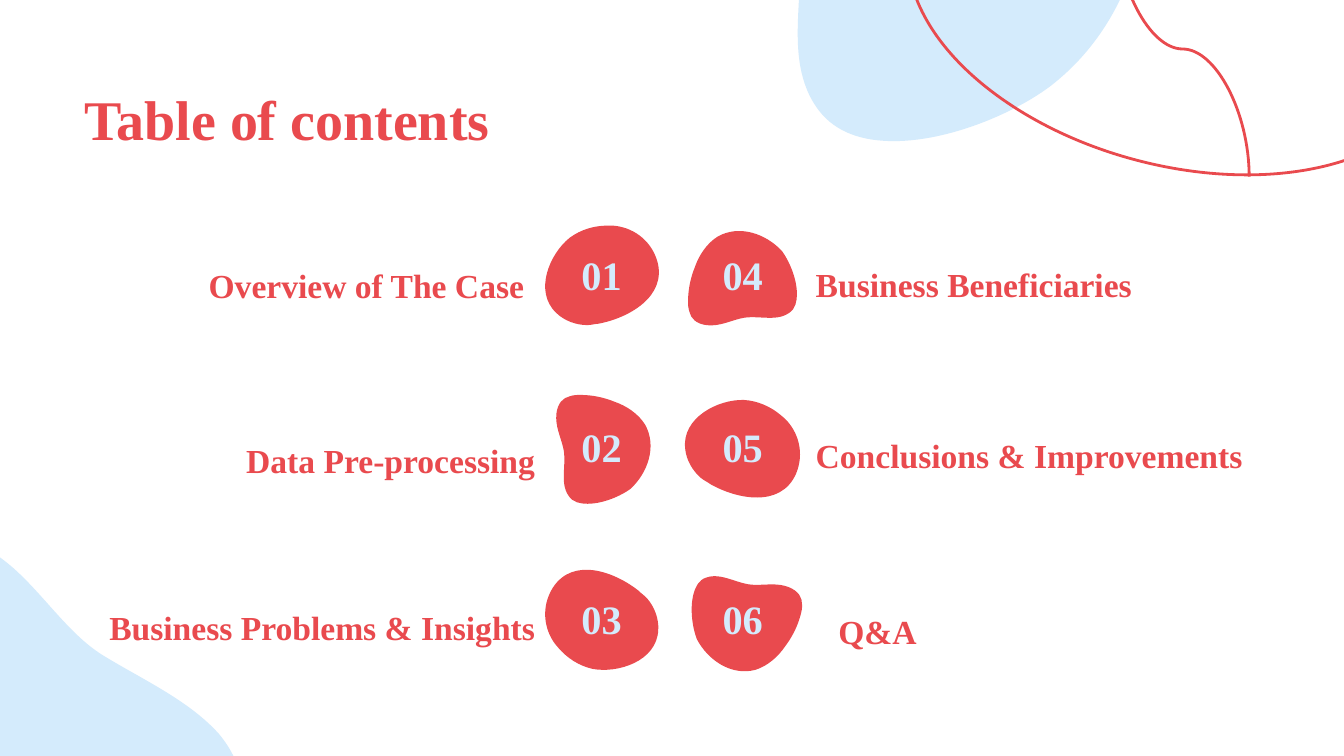
from lxml import etree
from pptx import Presentation
from pptx.dml.color import RGBColor
from pptx.enum import shapes, text
from pptx.oxml.ns import qn
from pptx.util import Pt

RED = RGBColor(0xE9, 0x4A, 0x4E)
SKY = RGBColor(0xD4, 0xEB, 0xFC)
FONT = "Times New Roman"
UNITS = 100  # outline units per point

# Each outline: width, height, start point, then Bezier segments, in points
CLOUD = (215.3, 232.6, (53.3, 0), [
    (45.4, 0, 37.4, 1.4, 31, 3.6), (15.1, 7.9, 3.6, 19.4, 1.4, 41.8),
    (0, 65.5, 9.4, 90.7, 15.1, 113.8), (23.8, 146.2, 5.8, 187.2, 27.4, 216),
    (36.7, 228.2, 51.1, 232.6, 67.7, 232.6), (100.1, 232.6, 139, 214.6, 156.2, 199.4),
    (193.7, 167.8, 215.3, 108.7, 187.9, 64.8), (173.5, 41.8, 149.8, 25.9, 124.6, 15.8),
    (104.4, 8.6, 77, 0, 53.3, 0)])
BEAN = (54.7, 59, (13.7, 0.7), [
    (11.5, 0.7, 10.1, 0.7, 7.9, 1.4), (4.3, 2.2, 1.4, 5, 0.7, 10.8),
    (0, 17.3, 2.9, 23, 4.3, 28.8), (6.5, 37.4, 2.2, 47.5, 7.2, 54.7),
    (9.4, 58.3, 13.7, 59, 17.3, 59), (25.9, 59, 35.3, 54.7, 40.3, 51.1),
    (49.7, 42.5, 54.7, 28.1, 48.2, 16.6), (44.6, 10.8, 38.2, 6.5, 31.7, 4.3),
    (26.6, 2.2, 20.2, 0.7, 13.7, 0.7)])
PEBBLE = (72, 53.3, (39.6, 0), [
    (32.4, 0, 25.2, 2.2, 19.4, 6.5), (8.6, 15.1, 0, 35.3, 12.2, 46.8),
    (16.6, 51.1, 23, 53.3, 28.8, 53.3), (31, 53.3, 33.1, 52.6, 34.6, 52.6),
    (50.4, 49.7, 72, 38.2, 66.2, 18.7), (62.6, 7.2, 52.6, 0.7, 42.5, 0),
    (41, 0, 40.3, 0, 39.6, 0)])

NUM_W, NUM_H = 49.7, 33.1
COLUMNS = (297.4, 373)
TOP, PITCH = 130.3, 92.15
# number, label, outline, rotation, blob shift (x, y), label gap, label drop, label width
ENTRIES = [
    [("01", "Overview of The Case", PEBBLE, 0, (-0.4, 0.7), 9.4, 1.4, 306.7),
     ("02", "Data Pre-processing", BEAN, 0, (2.5, 1.4), 3.6, 2.9, 343.4),
     ("03", "Business Problems & Insights", PEBBLE, 229.3, (-0.4, 1.4), 3.6, 0, 418.3)],
    [("04", "Business Beneficiaries", BEAN, 270, (-0.4, 0.7), 7.2, 0.7, 295.9),
     ("05", "Conclusions & Improvements", PEBBLE, 40.2, (0.4, 1.4), 7.2, 0, 298.8),
     ("06", "Q&A", BEAN, 105, (-0.4, 4.3), 19.4, 2.2, 216)],
]


def add_blob(s, outline, cx, cy, rotation, color):
    """Place a closed Bezier outline with its box centred on (cx, cy)."""
    w, h, start, segments = outline
    fb = s.shapes.build_freeform(0, 0, scale=Pt(1) / UNITS)
    fb.add_line_segments([(w * UNITS, 0), (w * UNITS, h * UNITS), (0, h * UNITS)])
    sp = fb.convert_to_shape(Pt(cx - w / 2), Pt(cy - h / 2))
    outline_el = next(sp._element.iter(qn("a:path")))
    for child in list(outline_el):
        outline_el.remove(child)
    for tag, numbers in [("a:moveTo", start)] + [("a:cubicBezTo", c) for c in segments]:
        command = etree.SubElement(outline_el, qn(tag))
        for x, y in zip(numbers[::2], numbers[1::2]):
            etree.SubElement(command, qn("a:pt"), x=str(round(x * UNITS)), y=str(round(y * UNITS)))
    etree.SubElement(outline_el, qn("a:close"))
    sp.rotation = rotation
    sp.shadow.inherit = False
    sp.fill.solid()
    sp.fill.fore_color.rgb = color
    sp.line.fill.background()


def add_text(s, box, content, size, color, align=text.PP_ALIGN.LEFT,
             anchor=text.MSO_ANCHOR.TOP, spacing=None):
    tf = s.shapes.add_textbox(*map(Pt, box)).text_frame
    tf.word_wrap = True
    tf.vertical_anchor = anchor
    tf.margin_left = tf.margin_right = tf.margin_top = tf.margin_bottom = Pt(7.2)
    p = tf.paragraphs[0]
    p.text = content
    p.alignment = align
    p.line_spacing = spacing
    font = p.runs[0].font
    font.name, font.size, font.bold = FONT, Pt(size), True
    font.color.rgb = color


def add_corner_lines(s, x, y):
    """Draw the arc and the curve that meets it, from the arc's top left."""
    arc = s.shapes.add_shape(shapes.MSO_SHAPE.ARC, Pt(x), Pt(y), Pt(295.2), Pt(177.1))
    arc.adjustments[0], arc.adjustments[1] = 68.74, 0
    arc.rotation = 195
    arc.shadow.inherit = False
    arc.fill.background()
    curve = s.shapes.add_connector(shapes.MSO_CONNECTOR.CURVE, Pt(x + 218.9), Pt(y + 79.2),
                                   Pt(x + 82.1), Pt(y + 150.5))
    curve._element.spPr.find(qn("a:xfrm")).set("rot", str(90 * 60000))
    etree.SubElement(curve._element.spPr, qn("a:effectLst"))
    for sp in (arc, curve):
        sp.line.color.rgb = RED
        sp.line.width = Pt(1.5)


def add_entry(s, x, y, entry, label_on_left):
    """Place blob, number and label around the number box at (x, y)."""
    number, label, outline, rotation, (dx, dy), gap, drop, width = entry
    add_blob(s, outline, x + NUM_W / 2 + dx, y + NUM_H / 2 + dy, rotation, RED)
    add_text(s, (x, y, NUM_W, NUM_H), number, 21.6, SKY,
             text.PP_ALIGN.CENTER, text.MSO_ANCHOR.MIDDLE)
    left = x - gap - width if label_on_left else x + NUM_W + gap
    align = text.PP_ALIGN.RIGHT if label_on_left else text.PP_ALIGN.LEFT
    add_text(s, (left, y + drop, width, 30.6), label, 18, RED, align, spacing=1.15)


def main():
    prs = Presentation()
    prs.slide_width, prs.slide_height = Pt(720), Pt(405)
    s = prs.slides.add_slide(prs.slide_layouts[6])
    add_blob(s, CLOUD, 518.8, -40.7, 0, SKY)
    add_blob(s, CLOUD, -10.4, 415.8, 135, SKY)
    add_corner_lines(s, 483.1, -88.6)
    add_text(s, (38.2, 38.2, 607.7, 48.2), "Table of contents", 30, RED)
    for col, (x, entries) in enumerate(zip(COLUMNS, ENTRIES)):
        for row, entry in enumerate(entries):
            add_entry(s, x, TOP + row * PITCH, entry, label_on_left=col == 0)
    prs.save("out.pptx")


if __name__ == "__main__":
    main()
